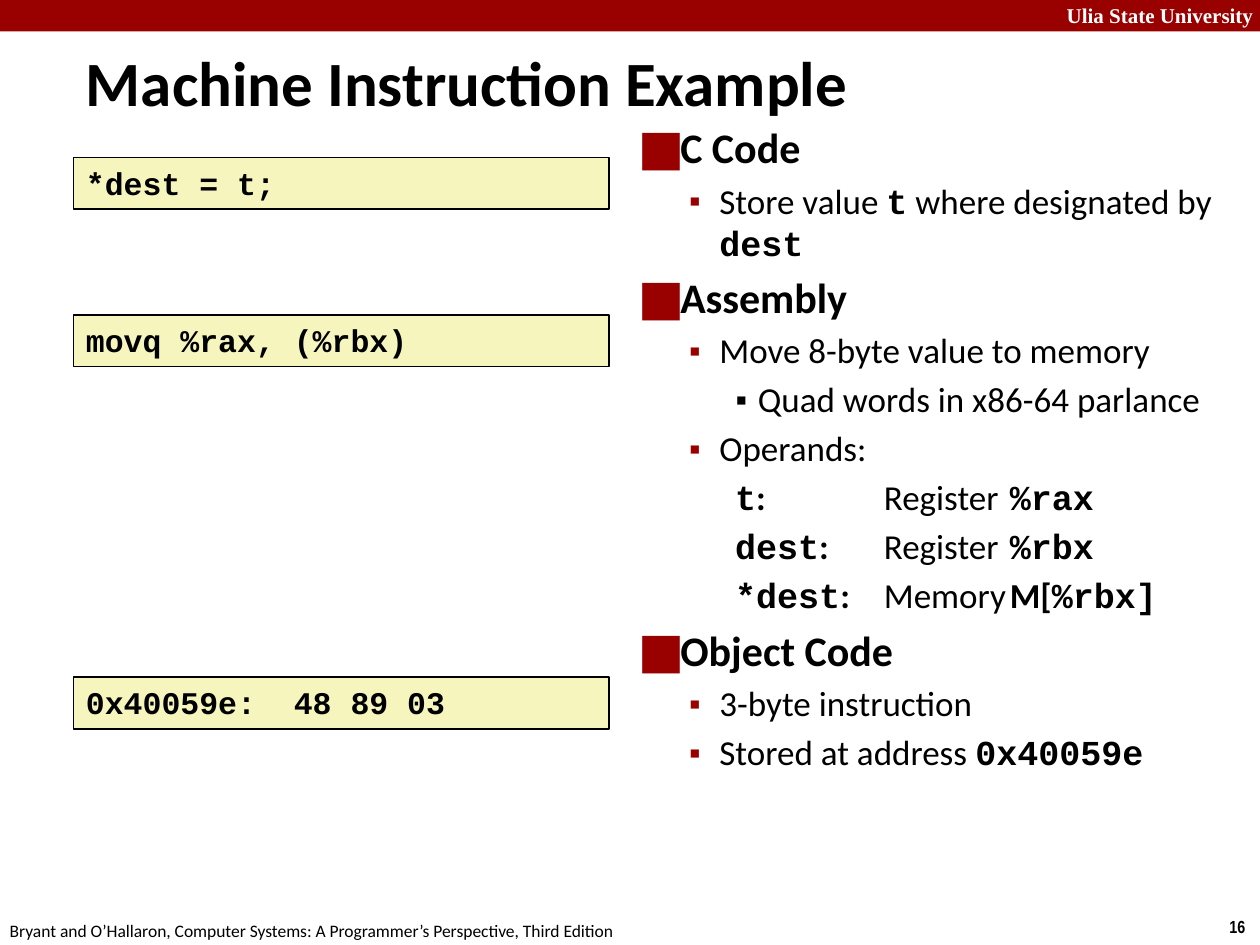
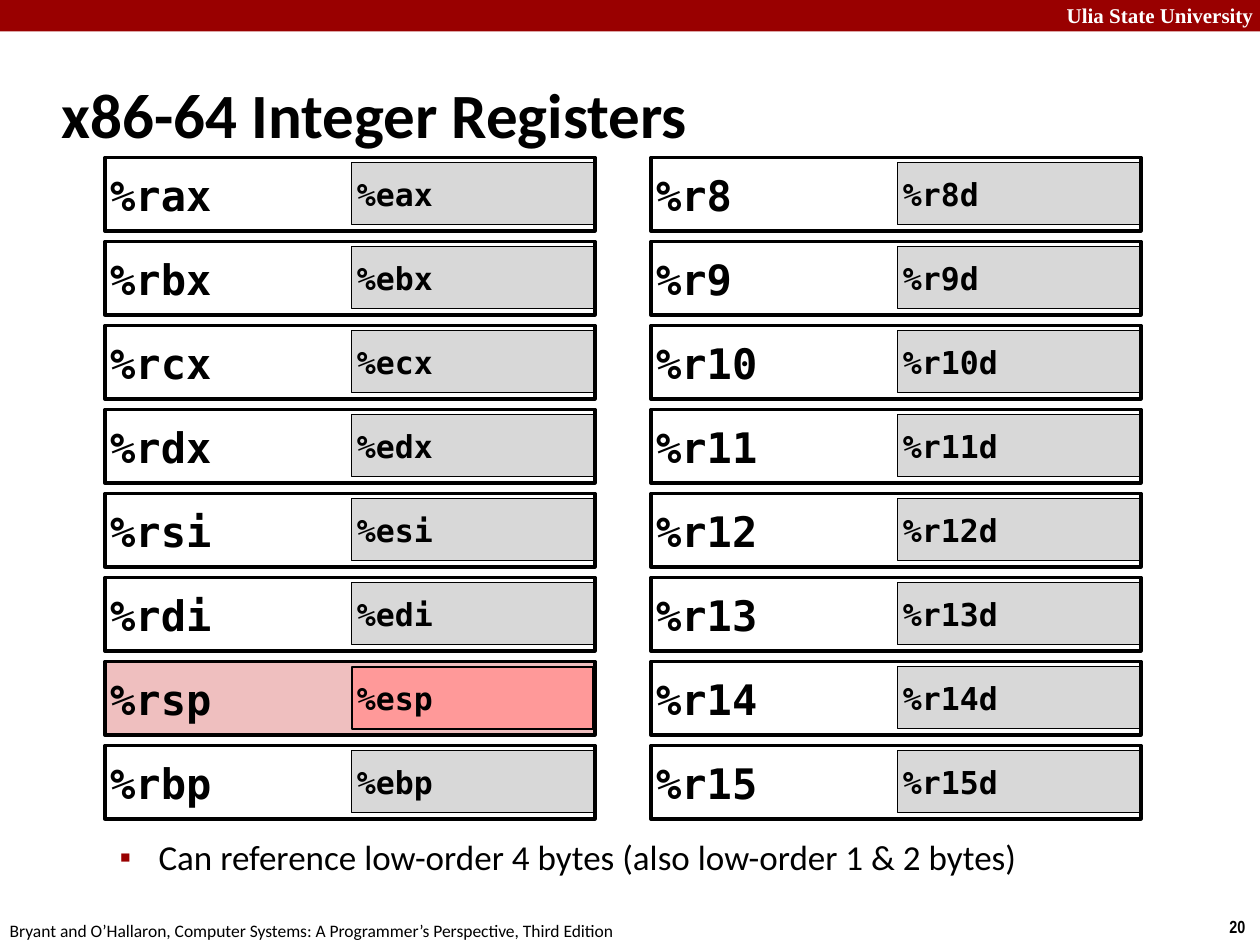
from lxml import etree
from pptx import Presentation
from pptx.dml.color import RGBColor
from pptx.enum import shapes, text
from pptx.oxml import ns
from pptx.util import Pt

RED, BLACK, WHITE = "990000", "000000", "FFFFFF"
CODE_FILL, HALF_FILL = "F6F5BD", "D8D8D8"
STACK_FILL, STACK_HALF_FILL = "EFBFBF", "FF9999"
INSETS = (7.2, 3.6, 7.2, 3.6)
REGISTER_INSETS = (3, 3, 3, 3)
BULLET_FONT = "DejaVu Sans Mono"
BULLET_PERCENT = {"■": 150, "▪": 60}

# run style: font, bold
RUN_STYLES = {
    "plain": ("Calibri", False),
    "bold": ("Calibri", True),
    "code": ("Courier New", True),
    "register": ("DejaVu Sans Mono", True),
    "header": ("Times New Roman", True),
    "number": ("Arial Narrow", True),
}

# paragraph style: level, left margin, hanging indent, space before, bullet, bullet colour
PARA_STYLES = {
    "none": (0, 0, 0, 0, None, None),
    "title": (0, 9.5, 9.5, 0, None, None),
    "first": (0, 17.5, 17.5, 0, "■", RED),
    "head": (0, 17.5, 17.5, 4.8, "■", RED),
    "item": (1, 44, 17.5, 4, "▪", RED),
    "detail": (2, 66, 13, 4, "▪", BLACK),
    "operand": (2, 66, 13, 4, None, None),
    "note": (1, 58.5, 22.5, 0, "▪", RED),
}


def rgb(value):
    return RGBColor.from_string(value)


def add_box(s, at, paras, size=18, color=BLACK, fill=None, line=None,
            insets=INSETS, middle=False, wrap=True):
    """Add a rectangle; paras holds (paragraph style, size or None, runs)."""
    sp = s.shapes.add_shape(shapes.MSO_SHAPE.RECTANGLE, *(Pt(v) for v in at))
    sp.shadow.inherit = False
    if fill:
        sp.fill.solid()
        sp.fill.fore_color.rgb = rgb(fill)
    else:
        sp.fill.background()
    if line:
        sp.line.color.rgb = rgb(BLACK)
        sp.line.width = Pt(line)
    else:
        sp.line.fill.background()
    tf = sp.text_frame
    tf.word_wrap = wrap
    tf.margin_left, tf.margin_top, tf.margin_right, tf.margin_bottom = (Pt(v) for v in insets)
    tf.vertical_anchor = text.MSO_ANCHOR.MIDDLE if middle else text.MSO_ANCHOR.TOP
    for i, (style, para_size, runs) in enumerate(paras):
        level, left, hang, before, bullet, bullet_color = PARA_STYLES[style]
        p = tf.paragraphs[0] if i == 0 else tf.add_paragraph()
        p.alignment = text.PP_ALIGN.LEFT
        p.level = level
        p.space_before = Pt(before)
        pPr = p._p.get_or_add_pPr()
        pPr.set("marL", str(Pt(left)))
        pPr.set("indent", str(-Pt(hang)))
        pPr.set("defTabSz", str(Pt(72)))
        if bullet:
            clr = etree.SubElement(pPr, ns.qn("a:buClr"))
            etree.SubElement(clr, ns.qn("a:srgbClr"), val=bullet_color)
            etree.SubElement(pPr, ns.qn("a:buSzPct"), val=str(BULLET_PERCENT[bullet] * 1000))
            etree.SubElement(pPr, ns.qn("a:buFont"), typeface=BULLET_FONT)
            etree.SubElement(pPr, ns.qn("a:buChar"), char=bullet)
        else:
            etree.SubElement(pPr, ns.qn("a:buNone"))
        for words, run_style in runs:
            r = p.add_run()
            r.text = words
            r.font.name, r.font.bold = RUN_STYLES[run_style]
            r.font.size = Pt(para_size or size)
            r.font.color.rgb = rgb(color)
    return sp


prs = Presentation()
prs.slide_width, prs.slide_height = Pt(720), Pt(540)

# Shared band, header, footer, number and title
slides = []
for title, title_at, number in [
    ("Machine Instruction Example", (42, 24, 572, 45), "16"),
    ("x86-64 Integer Registers", (28, 34.5, 598, 60), "20"),
]:
    s = prs.slides.add_slide(prs.slide_layouts[6])
    slides.append(s)
    add_box(s, (0, 0, 720, 18), [], fill=RED)
    for words, style, at, size, color in [
        ("Ulia State University", "header", (602.5, -2, 119, 22), 12, WHITE),
        (number, "number", (695.5, 520, 24.5, 19.5), 10, BLACK),
        ("Bryant and O’Hallaron, Computer Systems: A Programmer’s Perspective, Third Edition",
         "plain", (-1.5, 522, 366, 19.5), 10, BLACK),
    ]:
        add_box(s, at, [("none", size, [(words, style)])], color=color, wrap=False)
    add_box(s, title_at, [("title", 36, [(title, "bold")])], middle=True)

# Machine instruction example
s = slides[0]
add_box(s, (360, 66, 360, 456), [
    ("first", 24, [("C Code", "bold")]),
    ("item", 20, [("Store value ", "plain"), ("t", "code"),
                  (" where designated by ", "plain"), ("dest", "code")]),
    ("head", 24, [("Assembly", "bold")]),
    ("item", 20, [("Move 8-byte value to memory", "plain")]),
    ("detail", 20, [("Quad words in x86-64 parlance", "plain")]),
    ("item", 20, [("Operands:", "plain")]),
    ("operand", 20, [("t", "code"), (":\t", "bold"), ("Register\t", "plain"), ("%rax", "code")]),
    ("operand", 20, [("dest", "code"), (":", "bold"), ("\tRegister\t", "plain"),
                     ("%rbx", "code")]),
    ("operand", 20, [("*dest", "code"), (":", "bold"), (" \tMemory\t", "plain"),
                     ("M[", "bold"), ("%rbx]", "code")]),
    ("head", 24, [("Object Code", "bold")]),
    ("item", 20, [("3-byte instruction", "plain")]),
    ("item", 20, [("Stored at address ", "plain"), ("0x40059e", "code")]),
])
for code, top in [("*dest = t;", 90), ("movq %rax, (%rbx)", 180), ("0x40059e:  48 89 03", 387)]:
    add_box(s, (42, top, 306, 29.5), [("none", 18, [(code, "code")])], fill=CODE_FILL, line=1)

# Integer registers: 64-bit frames with their low 32-bit halves
s = slides[1]
add_box(s, (25, 474, 577.5, 66),
        [("note", 20, [("Can reference low-order 4 bytes (also low-order 1 & 2 bytes)", "plain")])])
old_names = ["ax", "bx", "cx", "dx", "si", "di", "sp", "bp"]
columns = [
    (60, [("%r" + n, "%e" + n) for n in old_names]),
    (372, [(f"%r{n}", f"%r{n}d") for n in range(8, 16)]),
]
for left, registers in columns:
    for row, (full, half) in enumerate(registers):
        top = 90 + 48 * row
        stack = full == "%rsp"
        boxes = [
            (half, 18, (left + 141, top + 3, 138 if stack else 139, 35.5),
             STACK_HALF_FILL if stack else HALF_FILL, 1 if stack else 0.75),
            (full, 24, (left, top, 280, 42), STACK_FILL if stack else None, 2),
        ]
        # The filled frame goes behind its half; open frames go in front
        for name, size, at, fill, line in reversed(boxes) if stack else boxes:
            add_box(s, at, [("none", size, [(name, "register")])], fill=fill, line=line,
                    insets=REGISTER_INSETS, middle=True)

prs.save("out.pptx")
